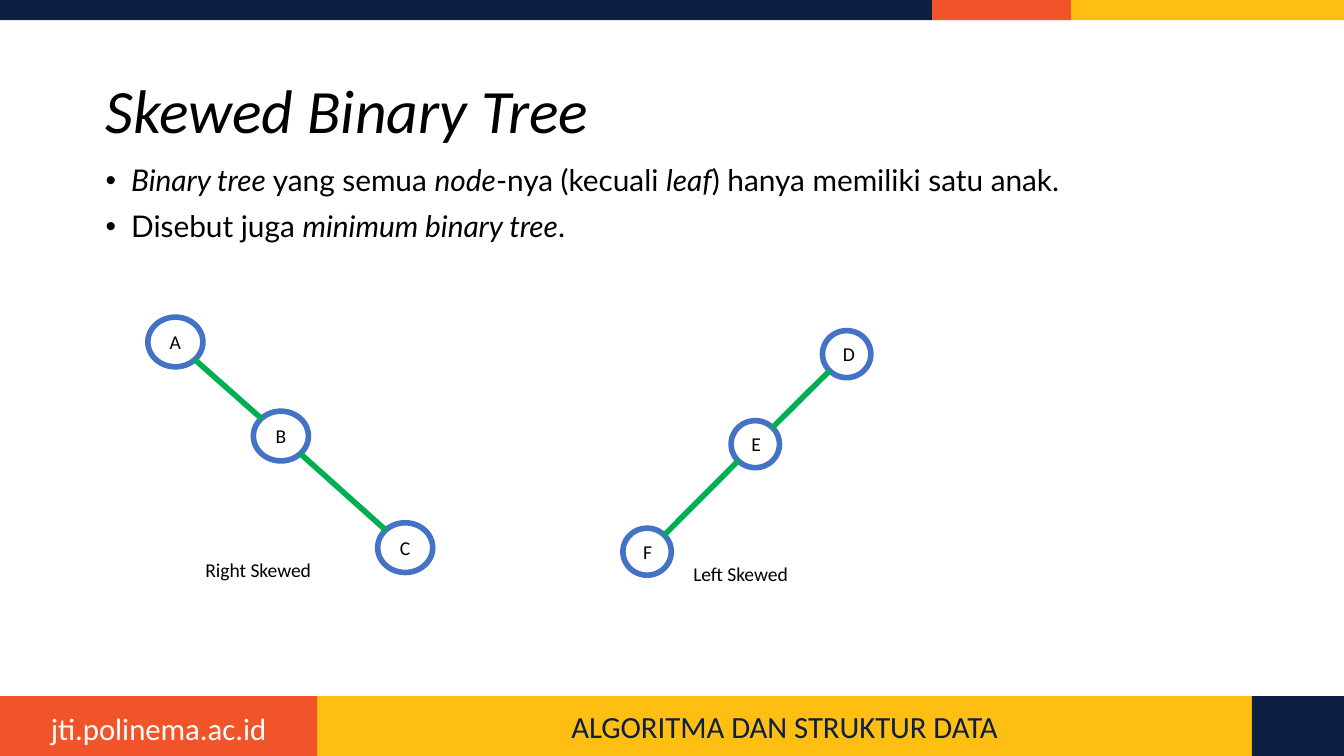
from lxml import etree
from pptx import Presentation
from pptx import util as u
from pptx.dml.color import RGBColor
from pptx.enum import shapes, text
from pptx.oxml.ns import qn

NAVY = RGBColor(0x0E, 0x1F, 0x43)
ORANGE = RGBColor(0xF1, 0x54, 0x29)
YELLOW = RGBColor(0xFE, 0xBF, 0x12)
BLUE = RGBColor(0x44, 0x72, 0xC4)
GREEN = RGBColor(0x00, 0xB0, 0x50)
WHITE = RGBColor(0xFF, 0xFF, 0xFF)
BLACK = RGBColor(0, 0, 0)

# Content; places are columns and rows of a 16:9 grid
COLUMNS, ROWS = 100, 56.25
TITLE = "Skewed Binary Tree"
# Each bullet is a list of (words, italic)
BULLETS = [
    [("Binary tree ", True), ("yang semua ", False), ("node", True),
     ("-nya (kecuali ", False), ("leaf", True),
     (") hanya memiliki satu anak.", False)],
    [("Disebut juga ", False), ("minimum binary tree", True), (".", False)],
]
# Each bar: top, height, then (right edge, colour, words) of its segments
BARS = [
    (0, 1.5, [(69.35, NAVY, ""), (79.7, ORANGE, ""), (100, YELLOW, "")]),
    (51.8, 4.45, [(23.6, ORANGE, ""),
                  (93.15, YELLOW, "ALGORITMA DAN STRUKTUR DATA"),
                  (100, NAVY, "")]),
]
SITE = "jti.polinema.ac.id"
# Side is +1 when children hang to the right, -1 to the left
TREES = [
    {"caption": "Right Skewed", "caption_at": (14.3, 41, 11.1, 2.8), "side": 1,
     "size": (4.1, 3.7),
     "nodes": [("A", 11, 23.6), ("B", 18.85, 30.6), ("C", 28.1, 38.9)]},
    {"caption": "Left Skewed", "caption_at": (50.6, 41.3, 10.1, 2.8), "side": -1,
     "size": (3.6, 3.5),
     "nodes": [("D", 61.2, 24.6), ("E", 54.4, 31.3), ("F", 46.35, 39.3)]},
]
DIAGONAL = 0.5 ** 0.5 / 2  # share of an oval's size from centre to its 45° point

deck = Presentation()
deck.slide_width = u.Inches(10)
deck.slide_height = deck.slide_width * 9 // 16
page = deck.slides.add_slide(deck.slide_layouts[6])


def on_grid(*cells):
    """Turn alternating columns and rows into slide lengths."""
    scales = (deck.slide_width / COLUMNS, deck.slide_height / ROWS)
    return [round(cell * scales[i % 2]) for i, cell in enumerate(cells)]


def add_shape(kind, place, fill):
    shape = page.shapes.add_shape(kind, *on_grid(*place))
    shape.shadow.inherit = False
    shape.fill.solid()
    shape.fill.fore_color.rgb = fill
    shape.line.fill.background()
    return shape


def style(font, size, color=BLACK, name="Calibri", italic=False):
    font.size, font.name, font.italic = u.Pt(size), name, italic
    font.color.rgb = color


def write(box, words, size, color=BLACK, align=text.PP_ALIGN.CENTER,
          anchor=text.MSO_ANCHOR.MIDDLE, italic=False):
    frame = box.text_frame
    frame.word_wrap = True
    frame.vertical_anchor = anchor
    frame.text = words
    para = frame.paragraphs[0]
    para.alignment = align
    style(para.runs[0].font, size, color, italic=italic)
    return para


def add_text(place):
    return page.shapes.add_textbox(*on_grid(*place))


# Colour bars at the top and bottom
for top, height, segments in BARS:
    left = 0
    for right, color, words in segments:
        segment = add_shape(shapes.MSO_SHAPE.RECTANGLE,
                            (left, top, right - left, height), color)
        if words:
            write(segment, words, 16.5, NAVY)
        left = right
write(add_text((0, 52.3, 23.6, 3.8)), SITE, 16.5, WHITE,
      anchor=text.MSO_ANCHOR.TOP)

# Title
heading = write(add_text((6.88, 3, 86.25, 10.9)), TITLE, 33,
                align=text.PP_ALIGN.LEFT, italic=True)
heading.line_spacing = 0.9

# Bullets
body = add_text((6.88, 11.85, 86.25, 35.7)).text_frame
body.word_wrap = True
for number, spans in enumerate(BULLETS):
    para = body.add_paragraph() if number else body.paragraphs[0]
    para.line_spacing = 0.9
    if number:
        para.space_before = u.Pt(7.5)
    props = para._p.get_or_add_pPr()
    props.set("marL", str(u.Inches(0.19)))
    props.set("indent", str(-u.Inches(0.19)))
    etree.SubElement(props, qn("a:buFont"), typeface="Arial")
    etree.SubElement(props, qn("a:buChar"), char="•")
    for words, italic in spans:
        span = para.add_run()
        span.text = words
        style(span.font, 16, name="Lato", italic=italic)

# Trees: nodes, edges between neighbours, caption
for tree in TREES:
    width, height = tree["size"]
    for label, left, top in tree["nodes"]:
        node = add_shape(shapes.MSO_SHAPE.OVAL, (left, top, width, height), WHITE)
        node.line.color.rgb = BLUE
        node.line.width = u.Pt(3)
        write(node, label, 10.5)

    centres = [(left + width / 2, top + height / 2) for _, left, top in tree["nodes"]]
    dx, dy = tree["side"] * width * DIAGONAL, height * DIAGONAL
    for (x1, y1), (x2, y2) in zip(centres, centres[1:]):
        edge = page.shapes.add_connector(
            shapes.MSO_CONNECTOR.STRAIGHT,
            *on_grid(x1 + dx, y1 + dy, x2 - dx, y2 - dy))
        edge.line.color.rgb = GREEN
        edge.line.width = u.Pt(3)
        etree.SubElement(edge._element.spPr, qn("a:effectLst"))

    write(add_text(tree["caption_at"]), tree["caption"], 10.5,
          align=text.PP_ALIGN.LEFT, anchor=text.MSO_ANCHOR.TOP)

deck.save("out.pptx")
